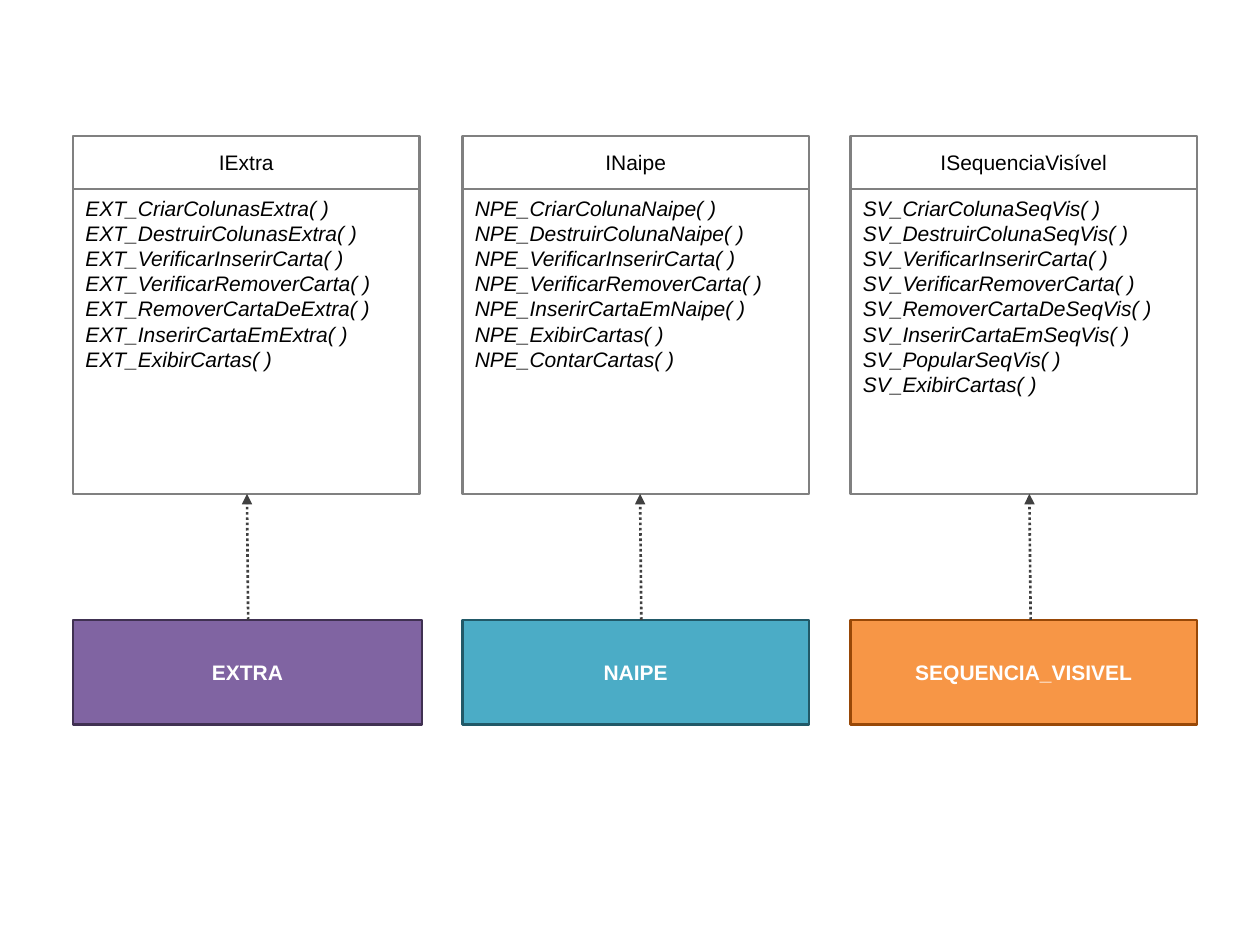
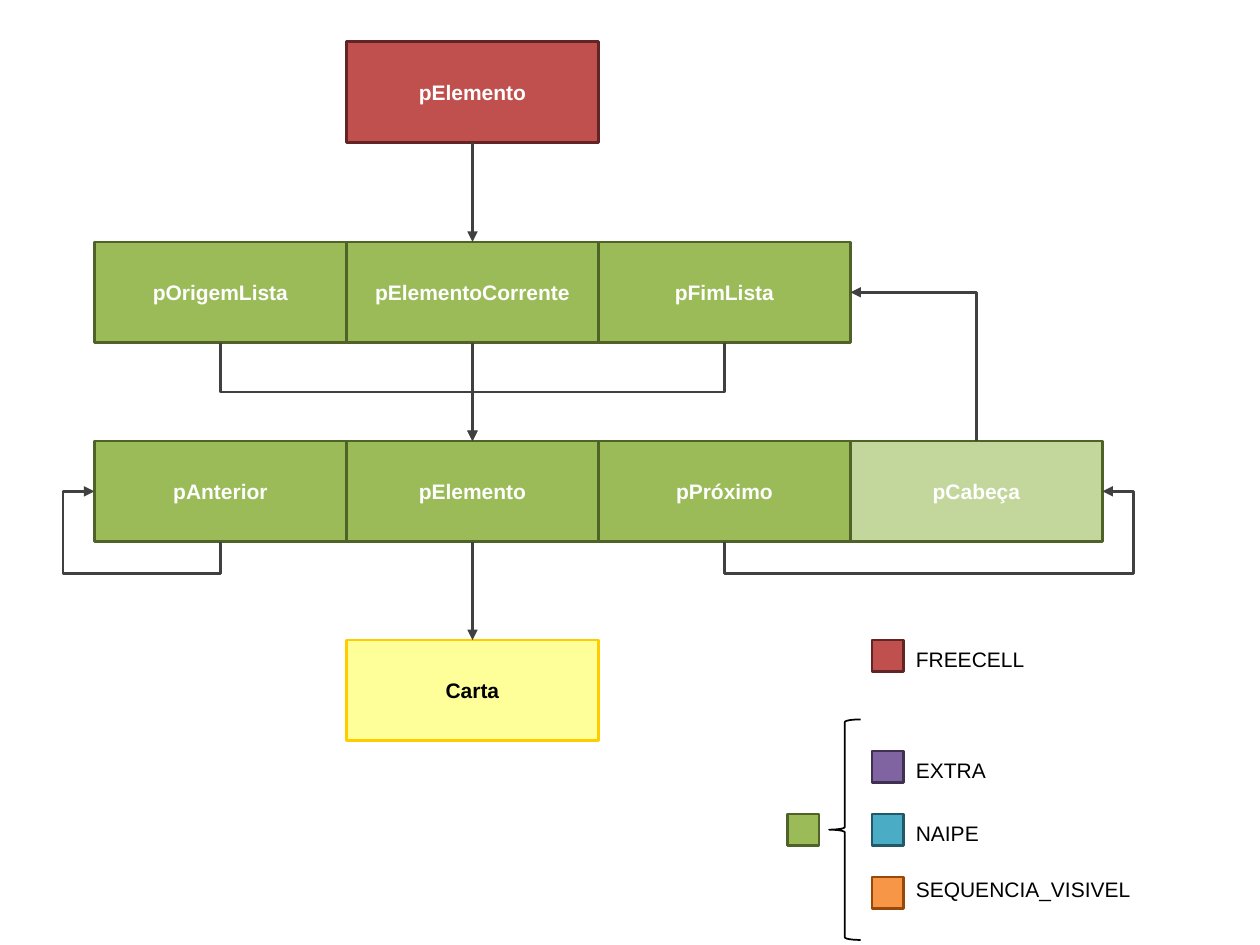
from dataclasses import dataclass

from lxml import etree
from pptx import Presentation
from pptx import util as u
from pptx.dml.color import RGBColor
from pptx.enum import dml, shapes, text
from pptx.oxml.ns import qn

# Shared look: each scheme is fill, outline, text colour
COLORS = {"connector": "404040", "black": "000000"}
SCHEMES = {
    "interface": ("FFFFFF", "808080", "000000"),
    "freecell": ("C0504D", "632523", "FFFFFF"),
    "extra": ("8064A2", "403152", "FFFFFF"),
    "naipe": ("4BACC6", "215968", "FFFFFF"),
    "sequencia": ("F79646", "984807", "FFFFFF"),
    "list": ("9BBB59", "4F6228", "FFFFFF"),
    "head": ("C3D69B", "4F6228", "FFFFFF"),
    "card": ("FFFF99", "FFCC00", "000000"),
}
FONT = {"name": "Arial", "size": u.Pt(12)}
BOLD = {"bold": True}
ITALIC = {"italic": True}
MIDDLE, TOP = text.MSO_ANCHOR.MIDDLE, text.MSO_ANCHOR.TOP
CENTER, LEFT = text.PP_ALIGN.CENTER, text.PP_ALIGN.LEFT
RECT = shapes.MSO_SHAPE.RECTANGLE


@dataclass
class Module:
    scheme: str
    name: str
    interface: str
    methods: list[str]
    left: float
    width: float
    arrow_x: float


@dataclass
class Node:
    label: str
    left: float
    top: float
    scheme: str = "list"


@dataclass
class Elbow:
    """A bent arrow leaving vertically; its frame is turned by a quarter."""
    start: tuple[float, float]
    end: tuple[float, float]
    preset: str
    rot: int
    flips: str
    adjusts: tuple[int, ...] = ()


@dataclass
class Key:
    scheme: str
    top: float
    label: str
    label_top: float
    label_width: float = 1.25


MODULES = [
    Module("extra", "EXTRA", "IExtra", [
        "EXT_CriarColunasExtra( )", "EXT_DestruirColunasExtra( )",
        "EXT_VerificarInserirCarta( )", "EXT_VerificarRemoverCarta( )",
        "EXT_RemoverCartaDeExtra( )", "EXT_InserirCartaEmExtra( )",
        "EXT_ExibirCartas( )"], 0.58, 2.77, 1.96),
    Module("naipe", "NAIPE", "INaipe", [
        "NPE_CriarColunaNaipe( )", "NPE_DestruirColunaNaipe( )",
        "NPE_VerificarInserirCarta( )", "NPE_VerificarRemoverCarta( )",
        "NPE_InserirCartaEmNaipe( )", "NPE_ExibirCartas( )",
        "NPE_ContarCartas( )"], 3.67, 2.75, 5.08),
    Module("sequencia", "SEQUENCIA_VISIVEL", "ISequenciaVisível", [
        "SV_CriarColunaSeqVis( )", "SV_DestruirColunaSeqVis( )",
        "SV_VerificarInserirCarta( )", "SV_VerificarRemoverCarta( )",
        "SV_RemoverCartaDeSeqVis( )", "SV_InserirCartaEmSeqVis( )",
        "SV_PopularSeqVis( )", "SV_ExibirCartas( )"], 6.75, 2.75, 8.17),
]

# Node grid of the list structure
NODE_W, NODE_H = 2, 0.8
COLS = [0.75 + NODE_W * i for i in range(4)]
MIDS = [left + NODE_W / 2 for left in COLS]
ROWS = [0.33, 1.92, 3.5, 5.08]
BOTTOMS = [top + NODE_H for top in ROWS]
LIST_MID, ELEMENT_MID = (top + NODE_H / 2 for top in ROWS[1:3])

NODES = [
    Node("pElemento", COLS[1], ROWS[0], "freecell"),
    *(Node(label, left, ROWS[1]) for label, left in
      zip(["pOrigemLista", "pElementoCorrente", "pFimLista"], COLS)),
    *(Node(label, left, ROWS[2]) for label, left in
      zip(["pAnterior", "pElemento", "pPróximo"], COLS)),
    Node("pCabeça", COLS[3], ROWS[2], "head"),
    Node("Carta", COLS[1], ROWS[3], "card"),
]
ELBOWS = [
    Elbow((MIDS[0], BOTTOMS[2]), (COLS[0], ELEMENT_MID),
          "bentConnector4", 90, "H", (-62500, 125000)),
    Elbow((MIDS[2], BOTTOMS[2]), (COLS[3] + NODE_W, ELEMENT_MID),
          "bentConnector4", 90, "HV", (-62500, 108333)),
    Elbow((MIDS[0], BOTTOMS[1]), (MIDS[1], ROWS[2]),
          "bentConnector3", 270, "H", (50000,)),
    Elbow((MIDS[2], BOTTOMS[1]), (MIDS[1], ROWS[2]),
          "bentConnector3", 90, "", (50000,)),
    Elbow((MIDS[3], ROWS[2]), (COLS[3], LIST_MID),
          "bentConnector2", 270, "V"),
]
KEYS = [
    Key("freecell", 5.08, "FREECELL", 5.08),
    Key("extra", 5.96, "EXTRA", 5.96),
    Key("naipe", 6.46, "NAIPE", 6.46),
    Key("sequencia", 6.96, "SEQUENCIA_VISIVEL", 6.91, 2.08),
]
KEY_SIZE, KEY_LEFT, GROUP_KEY_LEFT = 0.25, 6.92, 6.25


def inches(*values: float) -> list[u.Length]:
    return [u.Inches(v) for v in values]


def apply(target, values: dict) -> None:
    for name, value in values.items():
        setattr(target, name, value)


def write(tf, lines: list[str], color: str, style: dict, align) -> None:
    tf.word_wrap = True
    for i, line in enumerate(lines):
        p = tf.paragraphs[0] if i == 0 else tf.add_paragraph()
        p.alignment = align
        r = p.add_run()
        r.text = line
        apply(r.font, FONT | style)
        r.font.color.rgb = RGBColor.from_string(color)


def set_line(line, color: str, width: float = 1.5) -> None:
    line.color.rgb = RGBColor.from_string(color)
    line.width = u.Pt(width)


def add_box(tree, box: tuple, scheme: str, lines: list[str], style: dict = BOLD,
            align=CENTER, anchor=MIDDLE) -> None:
    fill, outline, color = SCHEMES[scheme]
    sp = tree.add_shape(RECT, *inches(*box))
    sp.shadow.inherit = False
    sp.fill.solid()
    sp.fill.fore_color.rgb = RGBColor.from_string(fill)
    set_line(sp.line, outline)
    sp.text_frame.vertical_anchor = anchor
    write(sp.text_frame, lines, color, style, align)


def add_arrow(s, start: tuple, end: tuple, kind=shapes.MSO_CONNECTOR.STRAIGHT):
    c = s.shapes.add_connector(kind, *inches(*start, *end))
    set_line(c.line, COLORS["connector"])
    sp_pr = c._element.spPr
    etree.SubElement(sp_pr.find(qn("a:ln")), qn("a:tailEnd"), type="triangle")
    etree.SubElement(sp_pr, qn("a:effectLst"))
    return c


def add_elbow(s, e: Elbow) -> None:
    (x1, y1), (x2, y2) = e.start, e.end
    mid_x, mid_y = (x1 + x2) / 2, (y1 + y2) / 2
    half_w, half_h = abs(y2 - y1) / 2, abs(x2 - x1) / 2
    c = add_arrow(s, (mid_x - half_w, mid_y - half_h),
                  (mid_x + half_w, mid_y + half_h), shapes.MSO_CONNECTOR.ELBOW)
    sp_pr = c._element.spPr
    xfrm = sp_pr.find(qn("a:xfrm"))
    xfrm.set("rot", str(e.rot * 60000))
    for axis in e.flips:
        xfrm.set(f"flip{axis}", "1")
    geom = sp_pr.find(qn("a:prstGeom"))
    geom.set("prst", e.preset)
    guides = geom.find(qn("a:avLst"))
    for i, value in enumerate(e.adjusts, 1):
        etree.SubElement(guides, qn("a:gd"), name=f"adj{i}", fmla=f"val {value}")


def add_module(s, m: Module) -> None:
    # Interface card with its method list
    card = s.shapes.add_group_shape().shapes
    add_box(card, (m.left, 1.5, 2.75, 2.42), "interface", m.methods,
            ITALIC, LEFT, TOP)
    add_box(card, (m.left, 1.08, 2.75, 0.42), "interface", [m.interface], {})
    # Module that realises it
    add_box(s.shapes, (m.left, 4.92, m.width, 0.83), m.scheme, [m.name])
    c = add_arrow(s, (m.arrow_x + 0.01, 4.92), (m.arrow_x, 3.92))
    c.line.dash_style = dml.MSO_LINE.ROUND_DOT


def add_key(s, key: Key) -> None:
    add_box(s.shapes, (KEY_LEFT, key.top, KEY_SIZE, KEY_SIZE), key.scheme, [])
    tb = s.shapes.add_textbox(*inches(KEY_LEFT + KEY_SIZE, key.label_top,
                                      key.label_width, 0.3))
    write(tb.text_frame, [key.label], COLORS["black"], {}, LEFT)


def build_interfaces(s) -> None:
    for m in MODULES:
        add_module(s, m)


def build_list_structure(s) -> None:
    # Nodes and pointers
    for n in NODES:
        add_box(s.shapes, (n.left, n.top, NODE_W, NODE_H), n.scheme, [n.label])
    for bottom, top in zip(BOTTOMS, ROWS[1:]):
        add_arrow(s, (MIDS[1], bottom), (MIDS[1], top))
    for e in ELBOWS:
        add_elbow(s, e)
    # Legend
    for key in KEYS:
        add_key(s, key)
    add_box(s.shapes, (GROUP_KEY_LEFT, 6.46, KEY_SIZE, KEY_SIZE), "list", [])
    brace = s.shapes.add_shape(shapes.MSO_SHAPE.LEFT_BRACE,
                               *inches(6.58, 5.71, 0.25, 1.75))
    brace.shadow.inherit = False
    brace.fill.background()
    set_line(brace.line, COLORS["black"], 1)


def main() -> None:
    prs = Presentation()
    apply(prs, {"slide_width": u.Inches(10), "slide_height": u.Inches(7.5)})
    for build in (build_interfaces, build_list_structure):
        build(prs.slides.add_slide(prs.slide_layouts[6]))
    prs.save("out.pptx")


if __name__ == "__main__":
    main()
